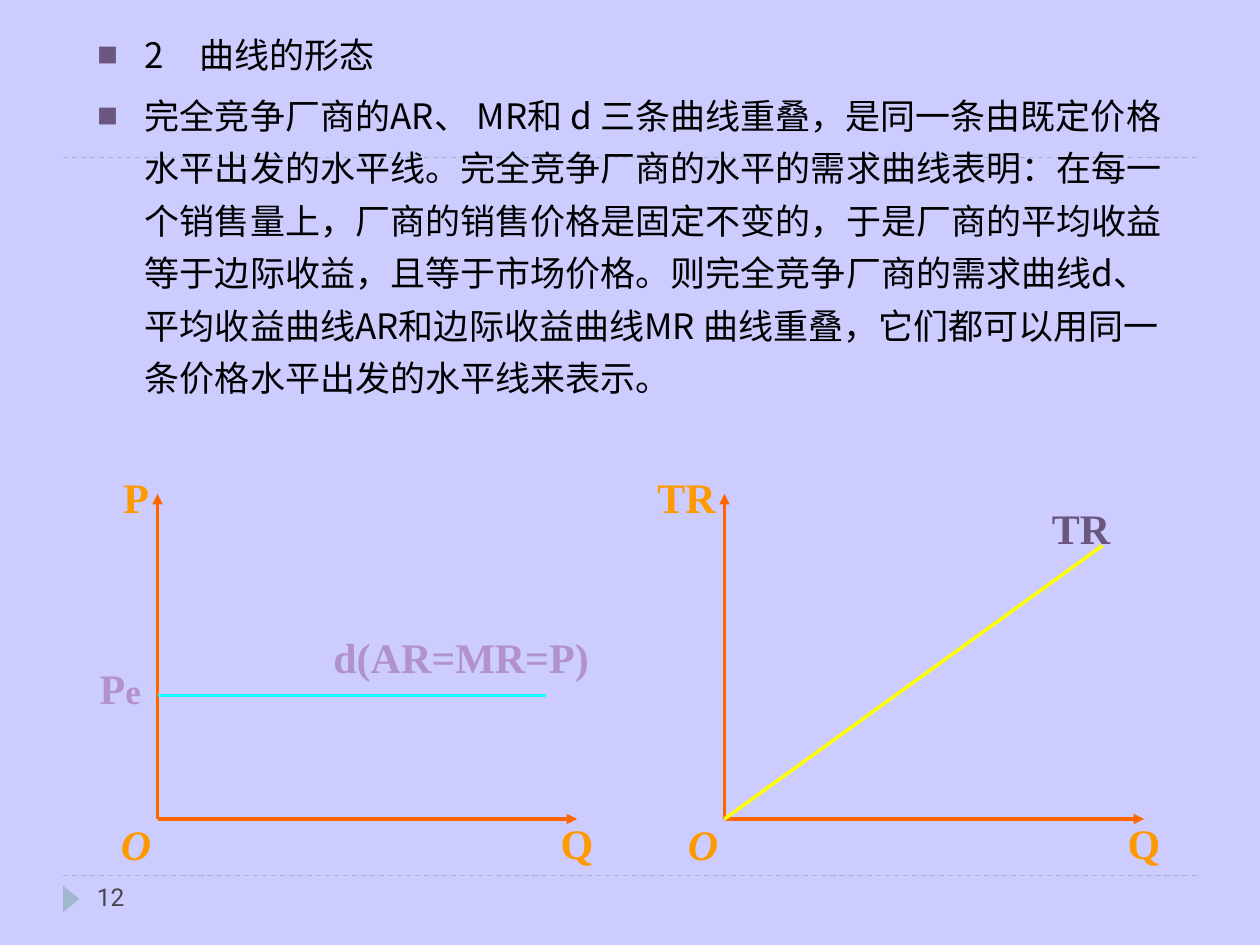
from lxml import etree
from pptx import Presentation
from pptx.dml.color import RGBColor
from pptx.enum.dml import MSO_LINE
from pptx.enum.shapes import MSO_CONNECTOR, MSO_SHAPE
from pptx.enum.text import MSO_ANCHOR, MSO_AUTO_SIZE, PP_ALIGN
from pptx.oxml.ns import qn
from pptx.util import Inches, Pt

STRAIGHT = MSO_CONNECTOR.STRAIGHT
TRIANGLE = MSO_SHAPE.ISOSCELES_TRIANGLE
DASH = MSO_LINE.DASH
TOP = MSO_ANCHOR.TOP
NO_FIT, GROW = MSO_AUTO_SIZE.NONE, MSO_AUTO_SIZE.SHAPE_TO_FIT_TEXT
LEFT, CENTER = PP_ALIGN.LEFT, PP_ALIGN.CENTER

ORANGE, AMBER, LILAC, PLUM, MIST = "FF6600", "FF9900", "B292CA", "6B5680", "9FB8CD"
SERIF, SANS, CJK = "Times New Roman", "Roboto", "Noto Sans CJK SC"
ORIGIN_Y, AXIS_TOP, AXIS_LENGTH = 6.5, 3.92, 3.33
LABEL_HEIGHT = 0.73

POINTS = [
    "2　曲线的形态",
    "完全竞争厂商的AR、 MR和 d 三条曲线重叠，是同一条由既定价格水平出发的水平线。"
    "完全竞争厂商的水平的需求曲线表明：在每一个销售量上，厂商的销售价格是固定不变的，"
    "于是厂商的平均收益等于边际收益，且等于市场价格。则完全竞争厂商的需求曲线d、"
    "平均收益曲线AR和边际收益曲线MR 曲线重叠，它们都可以用同一条价格水平出发的水平线来表示。",
]


def rgb(code):
    """Turn a hex string into a colour."""
    return RGBColor.from_string(code)


def add_child(parent, tag, **attributes):
    """Append a DrawingML element to a parent element."""
    return etree.SubElement(parent, qn(tag), attributes)


def set_all(target, values):
    """Set each named attribute on the target."""
    for name, value in values.items():
        setattr(target, name, value)


def style_run(run, size, color, font=SERIF, **extras):
    """Give a run its font, size and colour."""
    set_all(run.font, {"name": font, "size": Pt(size), **extras})
    run.font.color.rgb = rgb(color)
    add_child(run.font._element, "a:ea", typeface=font)


def set_frame(frame, insets, auto_size):
    """Set wrapping, anchor, fit and insets of a text frame."""
    left, top, right, bottom = map(Inches, insets)
    set_all(frame, {
        "word_wrap": True, "auto_size": auto_size, "vertical_anchor": TOP,
        "margin_left": left, "margin_top": top,
        "margin_right": right, "margin_bottom": bottom,
    })


def add_line(shapes, start, end, color, width, arrow=False, dash=None):
    """Draw a straight line, with an arrowhead at its end if asked."""
    line = shapes.add_connector(STRAIGHT, *map(Inches, start + end))
    line.line.color.rgb = rgb(color)
    set_all(line.line, {"width": Pt(width), "dash_style": dash})
    if arrow:
        add_child(line.line._get_or_add_ln(), "a:tailEnd", type="triangle")
    add_child(line.element.spPr, "a:effectLst")


def add_label(shapes, left, top, width, parts, color, italic=False):
    """Place a centred graph label made of (text, size) parts."""
    box = shapes.add_textbox(*map(Inches, (left, top, width, LABEL_HEIGHT)))
    set_frame(box.text_frame, (0.28, 0, 0.04, 0.17), GROW)
    paragraph = box.text_frame.paragraphs[0]
    set_all(paragraph, {"alignment": CENTER, "line_spacing": 1.4})
    for text, size in parts:
        run = paragraph.add_run()
        run.text = text
        style_run(run, size, color, bold=True, italic=italic)


def add_axes(slide, origin_x, name, name_left, name_width):
    """Draw a grouped pair of axes with their labels."""
    shapes = slide.shapes.add_group_shape().shapes
    origin = (origin_x, ORIGIN_Y)
    for end in ((origin_x, AXIS_TOP), (origin_x + AXIS_LENGTH, ORIGIN_Y)):
        add_line(shapes, origin, end, ORANGE, 1.75, arrow=True)
    add_label(shapes, origin_x + 2.92, 6.33, 0.58, [("Q", 24)], AMBER)
    add_label(shapes, name_left, 3.58, name_width, [(name, 24)], AMBER)
    add_label(shapes, origin_x - 0.58, 6.34, 0.58, [("O", 24)], AMBER, italic=True)


def add_decor(slide):
    """Draw the dashed rules, the page marker and the page number."""
    for y in (6.95, 1.25):
        add_line(slide.shapes, (0.5, y), (9.5, y), MIST, 0.75, dash=DASH)
    marker = slide.shapes.add_shape(TRIANGLE, *map(Inches, (0.46, 7.07, 0.21, 0.13)))
    marker.rotation = 90
    marker.shadow.inherit = False
    marker.fill.solid()
    marker.fill.fore_color.rgb = rgb(MIST)
    marker.line.fill.background()
    page = slide.shapes.add_textbox(*map(Inches, (0.67, 6.95, 2.17, 0.4)))
    set_frame(page.text_frame, (0.1, 0.05, 0.1, 0.05), NO_FIT)
    run = page.text_frame.paragraphs[0].add_run()
    run.text = "12"
    style_run(run, 14, "464653", SANS)


def fill_body(slide, body):
    """Write the bulleted text into the body placeholder."""
    set_all(body, dict(zip(("left", "top", "width", "height"),
                           map(Inches, (0.67, 0.13, 8.67, 2.91)))))
    slide.shapes.element.append(body.element)
    frame = body.text_frame
    set_frame(frame, (0.1, 0.05, 0.1, 0.05), NO_FIT)
    for index, text in enumerate(POINTS):
        paragraph = frame.add_paragraph() if index else frame.paragraphs[0]
        properties = paragraph._p.get_or_add_pPr()
        properties.set("marL", str(Inches(0.38)))
        properties.set("indent", str(Inches(-0.38)))
        add_child(add_child(properties, "a:buClr"), "a:srgbClr", val=PLUM)
        add_child(properties, "a:buSzPct", val="60000")
        add_child(properties, "a:buFont", typeface=CJK)
        add_child(properties, "a:buChar", char="■")
        set_all(paragraph, {"alignment": LEFT, "line_spacing": 1.25,
                            "space_before": Pt(5 if index else 0)})
        run = paragraph.add_run()
        run.text = text
        style_run(run, 20, "000000", CJK)


def main():
    """Build the slide and save it."""
    deck = Presentation()
    set_all(deck, {"slide_width": Inches(10), "slide_height": Inches(7.5)})
    slide = deck.slides.add_slide(deck.slide_layouts[1])
    slide.background.fill.solid()
    slide.background.fill.fore_color.rgb = rgb("CCCCFF")
    title = slide.shapes.title.element
    title.getparent().remove(title)

    add_decor(slide)
    fill_body(slide, slide.placeholders[1])
    add_axes(slide, 1.25, "P", 0.67, 0.58)
    add_axes(slide, 5.75, "TR", 4.83, 1)
    add_line(slide.shapes, (1.25, 5.52), (4.33, 5.52), "15FFFF", 2)
    add_label(slide.shapes, 2.33, 4.85, 2.42, [("d(AR=MR=P)", 24)], LILAC)
    add_line(slide.shapes, (5.75, ORIGIN_Y), (8.75, 4.33), "FFFF00", 2)
    add_label(slide.shapes, 7.25, 3.83, 2.42, [("TR", 24)], PLUM)
    add_label(slide.shapes, 0.42, 5.1, 0.83, [("P", 24), ("e", 20)], LILAC)
    deck.save("out.pptx")


if __name__ == "__main__":
    main()
